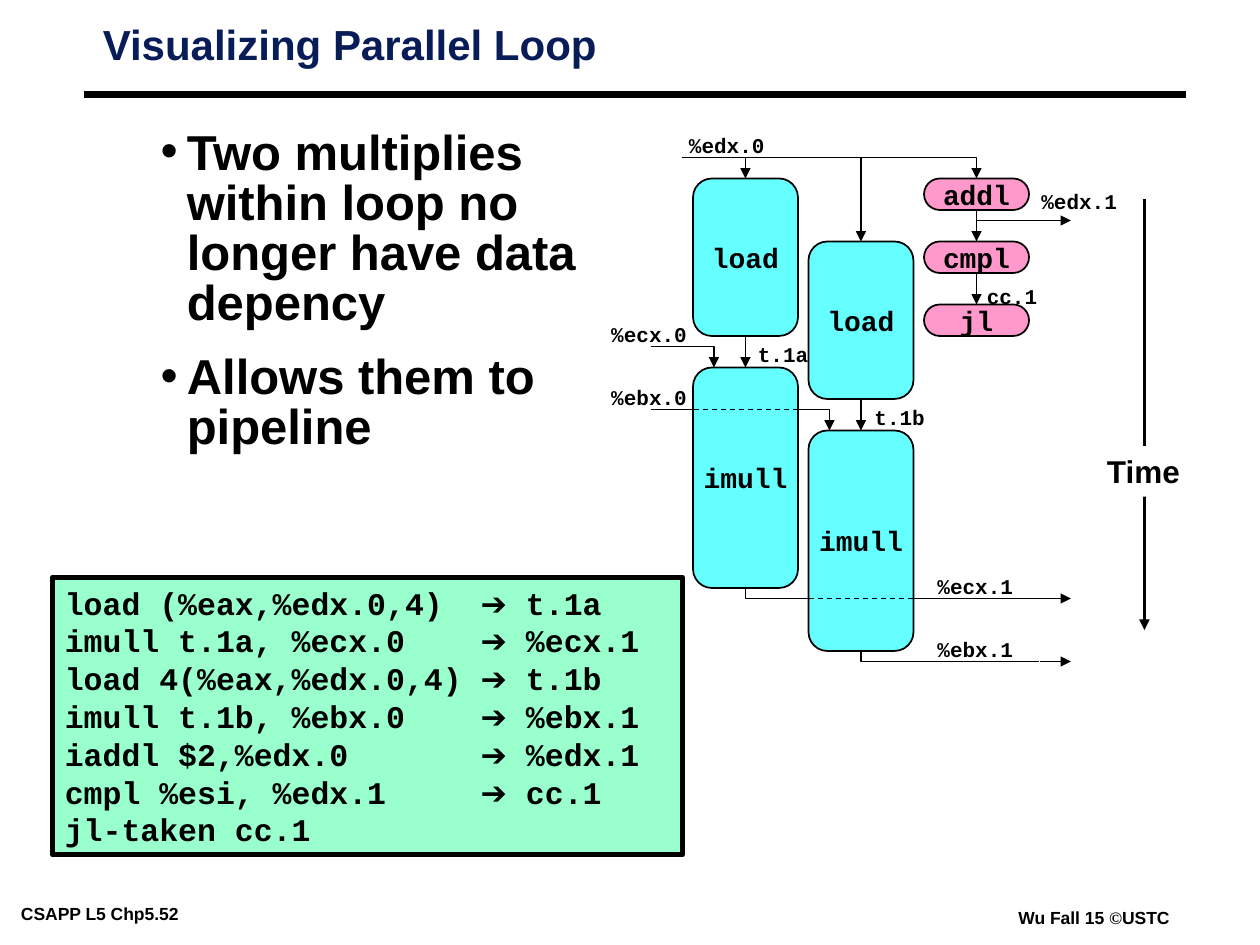
from lxml import etree
from pptx import Presentation
from pptx import util as u
from pptx.dml.color import RGBColor
from pptx.enum import dml, shapes, text
from pptx.oxml import ns

PX = 7620
HUES = {"ink": "000000", "navy": "081D58", "cyan": "66FFFF",
        "pink": "FF99CC", "mint": "99FFCC", "white": "FFFFFF"}
SANS, MONO, SERIF = "Arial", "Courier New", "Times New Roman"
LEFT, MID, RIGHT = text.PP_ALIGN.LEFT, text.PP_ALIGN.CENTER, text.PP_ALIGN.RIGHT


def hue(name):
    return RGBColor.from_string(HUES[name])


def sub(node, tag, **attrs):
    child = etree.SubElement(node, ns.qn(tag))
    for key, val in attrs.items():
        child.set(key, str(val))
    return child


class Board:
    def __init__(self, slide):
        self.slide = slide
        self.shapes = slide.shapes

    def place(self, item, left, top, width, height):
        item.left, item.top = left * PX, top * PX
        item.width, item.height = width * PX, height * PX

    def frame(self, item, pad=(12, 6), wrap=True, anchor=text.MSO_ANCHOR.TOP):
        box = item.text_frame
        box.margin_left = box.margin_right = pad[0] * PX
        box.margin_top = box.margin_bottom = pad[1] * PX
        box.word_wrap = wrap
        box.auto_size = text.MSO_AUTO_SIZE.NONE
        box.vertical_anchor = anchor
        return box

    def run(self, para, words, size, font=SANS, color="ink"):
        piece = para.add_run()
        piece.text = words
        piece.font.size = u.Pt(size)
        piece.font.name = font
        piece.font.bold = True
        piece.font.color.rgb = hue(color)

    def title(self, words, *area):
        item = self.shapes.title
        self.place(item, *area)
        para = self.frame(item, (8, 4)).paragraphs[0]
        para.alignment = LEFT
        para.line_spacing = 0.87
        self.run(para, words, 24, color="navy")

    def bullets(self, items, *area):
        item = self.slide.placeholders[1]
        self.place(item, *area)
        box = self.frame(item, (8, 4))
        for i, words in enumerate(items):
            para = box.add_paragraph() if i else box.paragraphs[0]
            para.level = 1
            props = para._p.get_or_add_pPr()
            props.set("marL", str(90 * PX))
            props.set("indent", str(-25 * PX))
            sub(props, "a:buFont", typeface=SANS)
            sub(props, "a:buChar", char="•")
            para.line_spacing = 0.85
            para.space_before = u.Pt(14 if i else 0)
            self.run(para, words, 28)

    def label(self, runs, left, top, width, height=36, align=LEFT,
              pad=(12, 6), wrap=False):
        item = self.shapes.add_textbox(0, 0, 0, 0)
        self.place(item, left, top, width, height)
        para = self.frame(item, pad, wrap).paragraphs[0]
        para.alignment = align
        for piece in runs:
            self.run(para, *piece)

    def block(self, kind, fill, weight, *area):
        item = self.shapes.add_shape(kind, 0, 0, 0, 0)
        self.place(item, *area)
        item.shadow.inherit = False
        item.fill.solid()
        item.fill.fore_color.rgb = hue(fill)
        if weight:
            self.ink(item, weight)
        else:
            item.line.fill.background()
        return item

    def node(self, words, fill, round_by, *area):
        item = self.block(shapes.MSO_SHAPE.ROUNDED_RECTANGLE, fill, 1, *area)
        item.adjustments[0] = round_by
        para = self.frame(item, wrap=False, anchor=text.MSO_ANCHOR.MIDDLE).paragraphs[0]
        para.alignment = MID
        self.run(para, words, 16, MONO)
        return item

    def code(self, rows, *area):
        item = self.block(shapes.MSO_SHAPE.RECTANGLE, "mint", 3, *area)
        box = self.frame(item)
        for i, (op, out) in enumerate(rows):
            para = box.add_paragraph() if i else box.paragraphs[0]
            para.alignment = LEFT
            tabs = sub(para._p.get_or_add_pPr(), "a:tabLst")
            sub(tabs, "a:tab", pos=396 * PX, algn="l")
            self.run(para, op + ("\t" if out else ""), 18, MONO)
            if out:
                self.run(para, "➔", 18)
                self.run(para, " " + out, 18, MONO)

    def ink(self, item, weight, head=False, dash=False):
        item.line.color.rgb = hue("ink")
        item.line.width = u.Pt(weight)
        if dash:
            item.line.dash_style = dml.MSO_LINE.DASH
        if head:
            sub(item.element.spPr.find(ns.qn("a:ln")), "a:tailEnd", type="triangle")

    def line(self, x1, y1, x2, y2, weight=0.75, head=False, dash=False,
             start=None, end=None):
        item = self.shapes.add_connector(
            shapes.MSO_CONNECTOR.STRAIGHT, x1 * PX, y1 * PX, x2 * PX, y2 * PX)
        if start:
            item.begin_connect(start, 2)
        if end:
            item.end_connect(end, 0)
        self.ink(item, weight, head, dash)
        sub(item.element.spPr, "a:effectLst")

    def bend(self, first, *rest, head=False):
        form = self.shapes.build_freeform(*first, scale=PX)
        form.add_line_segments(rest, close=False)
        item = form.convert_to_shape()
        item.shadow.inherit = False
        item.fill.background()
        self.ink(item, 0.75, head)


def main():
    deck = Presentation()
    deck.slide_width, deck.slide_height = 1200 * PX, 900 * PX
    board = Board(deck.slides.add_slide(deck.slide_layouts[1]))

    board.label([("CSAPP L5 Chp5.52", 10)], 12, 856, 234, 26, pad=(8, 4), wrap=True)
    board.label([("Wu Fall 15 ", 10), ("©", 10, SERIF), ("USTC", 10)],
                962, 860, 170, 26, pad=(8, 4), wrap=True)
    board.line(80, 90, 1130, 90, 4.5)
    board.title("Visualizing Parallel Loop", 90, 20, 871, 76)
    board.bullets(["Two multiplies within loop no longer have data depency",
                   "Allows them to pipeline"], 80, 120, 480, 331)
    board.code([("load (%eax,%edx.0,4)", "t.1a"),
                ("imull t.1a, %ecx.0", "%ecx.1"),
                ("load 4(%eax,%edx.0,4)", "t.1b"),
                ("imull t.1b, %ebx.0", "%ebx.1"),
                ("iaddl $2,%edx.0", "%edx.1"),
                ("cmpl %esi, %edx.1", "cc.1"),
                ("jl-taken cc.1", "")], 50, 550, 600, 264)

    board.line(1090, 190, 1090, 600, 2, head=True)
    clock = board.block(shapes.MSO_SHAPE.RECTANGLE, "white", 0, 1038, 425, 102, 48)
    para = board.frame(clock).paragraphs[0]
    para.alignment = MID
    board.run(para, "Time", 18)

    for words, left, top, align in [
            ("%edx.0", 644, 120, RIGHT), ("%ecx.0", 570, 300, RIGHT),
            ("%ebx.0", 570, 360, RIGHT), ("%edx.1", 980, 174, LEFT),
            ("%ecx.1", 881, 540, LEFT), ("%ebx.1", 881, 600, LEFT),
            ("cc.1", 928, 264, LEFT), ("t.1a", 710, 319, LEFT),
            ("t.1b", 821, 379, LEFT)]:
        board.label([(words, 12, MONO)], left, top, 24 + 12 * len(words), align=align)

    board.bend((650, 150), (930, 150), (930, 170), head=True)
    board.bend((650, 330), (680, 330), (680, 350), head=True)
    board.bend((650, 390), (790, 390), (790, 410), head=True)
    board.bend((710, 560), (710, 570), (990, 570))
    board.bend((820, 620), (820, 630), (990, 630))
    board.line(930, 210, 990, 210)
    for y in (210, 570, 630):
        board.line(990, y, 1020, y, head=True)
    for y in (330, 390):
        board.line(650, y, 620, y)

    for left, top in ((660, 170), (770, 230)):
        mid = left + 50
        load = board.node("load", "cyan", 0.18, left, top, 100, 150)
        mult = board.node("imull", "cyan", 0.18, left, top + 180, 100, 210)
        board.line(mid, 150, mid, top, head=True, end=load)
        board.line(mid, top + 150, mid, top + 180, head=True, start=load, end=mult)
    board.line(760, 390, 660, 390, dash=True)
    board.line(870, 570, 770, 570, dash=True)

    last = None
    for i, words in enumerate(("addl", "cmpl", "jl")):
        top = 170 + 60 * i
        step = board.node(words, "pink", 0.5, 880, top, 100, 30)
        if last:
            board.line(930, top - 30, 930, top, head=True, start=last, end=step)
        last = step

    deck.save("out.pptx")


if __name__ == "__main__":
    main()
